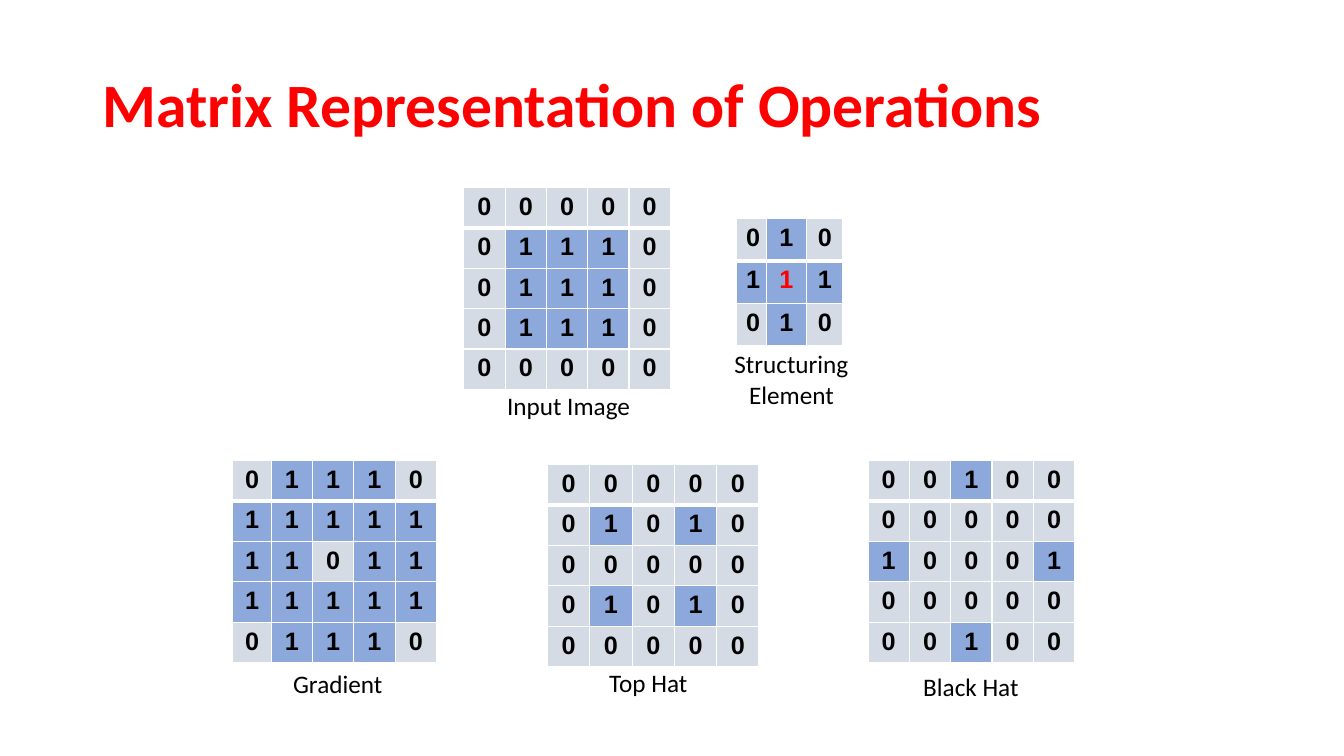
from lxml import etree
from pptx import Presentation, util as u
from pptx.dml.color import RGBColor
from pptx.enum import text
from pptx.oxml.ns import qn

PX = 9144  # 100 px to the inch
RED = RGBColor(0xFF, 0x00, 0x00)
BLACK = RGBColor(0x00, 0x00, 0x00)
WHITE = RGBColor(0xFF, 0xFF, 0xFF)
CELL_FILL = {"0": RGBColor(0xD5, 0xDB, 0xE5), "1": RGBColor(0x8D, 0xA9, 0xDB)}
CENTER = text.PP_ALIGN.CENTER


def write(frame, words, font, size, color, bold=False, align=CENTER):
    paragraph = frame.paragraphs[0]
    paragraph.text = words
    paragraph.alignment = align
    paragraph.font.name = font
    paragraph.font.size = u.Pt(size)
    paragraph.font.bold = bold
    paragraph.font.color.rgb = color
    return paragraph


def add_borders(cell, top, bottom):
    properties = cell._tc.get_or_add_tcPr()
    edges = {"a:lnL": 1, "a:lnR": 1, "a:lnT": top, "a:lnB": bottom}
    for place, (edge, points) in enumerate(edges.items()):
        line = etree.Element(qn(edge), w=str(u.Pt(points)))
        fill = etree.SubElement(line, qn("a:solidFill"))
        etree.SubElement(fill, qn("a:srgbClr"), val=str(WHITE))
        properties.insert(place, line)


deck = Presentation()
deck.slide_width, deck.slide_height = 1333 * PX, 750 * PX
slide = deck.slides.add_slide(deck.slide_layouts[6])

# Title
title = slide.shapes.add_textbox(92 * PX, 34 * PX, 1150 * PX, 145 * PX).text_frame
title.word_wrap = True
title.vertical_anchor = text.MSO_ANCHOR.MIDDLE
heading = write(title, "Matrix Representation of Operations", "Calibri", 44, RED,
                bold=True, align=text.PP_ALIGN.LEFT)
heading.line_spacing = 0.9

# Matrices: left, top, column widths, row height, rows of digits
matrices = [
    (460, 186, [41] * 5, 40, "00000 01110 01110 01110 00000"),
    (730, 217, [30, 40, 36], 42, "010 111 010"),
    (231, 457, [38] + [41] * 4, 39, "01110 11111 11011 11111 01110"),
    (861, 457, [41] * 5, 39, "00100 00000 10001 00000 00100"),
    (543, 461, [42] * 5, 39, "00000 01010 00000 01010 00000"),
]
for left, top, widths, row_height, digits in matrices:
    rows = digits.split()
    matrix = slide.shapes.add_table(
        len(rows), len(widths), left * PX, top * PX,
        sum(widths) * PX, len(rows) * row_height * PX).table
    matrix.first_row = matrix.horz_banding = False
    for column, width in zip(matrix.columns, widths):
        column.width = width * PX
    for r, row in enumerate(rows):
        for c, digit in enumerate(row):
            cell = matrix.cell(r, c)
            cell.fill.solid()
            cell.fill.fore_color.rgb = CELL_FILL[digit]
            add_borders(cell, top=3 if r == 1 else 1, bottom=3 if r == 0 else 1)
            # The origin of the 3 by 3 structuring element is red
            is_origin = len(rows) == 3 and r == c == 1
            write(cell.text_frame, digit, "Arial", 18,
                  RED if is_origin else BLACK, bold=True)

# Captions
captions = [
    ("Input Image", 474, 382, 180, 40),
    ("Structuring Element", 693, 341, 184, 71),
    ("Gradient", 245, 658, 180, 40),
    ("Top Hat", 553, 657, 180, 40),
    ("Black Hat", 873, 661, 180, 40),
]
for words, left, top, width, height in captions:
    caption = slide.shapes.add_textbox(
        left * PX, top * PX, width * PX, height * PX).text_frame
    caption.word_wrap = True
    caption.auto_size = text.MSO_AUTO_SIZE.SHAPE_TO_FIT_TEXT
    write(caption, words, "Calibri", 18, BLACK)

deck.save("out.pptx")
